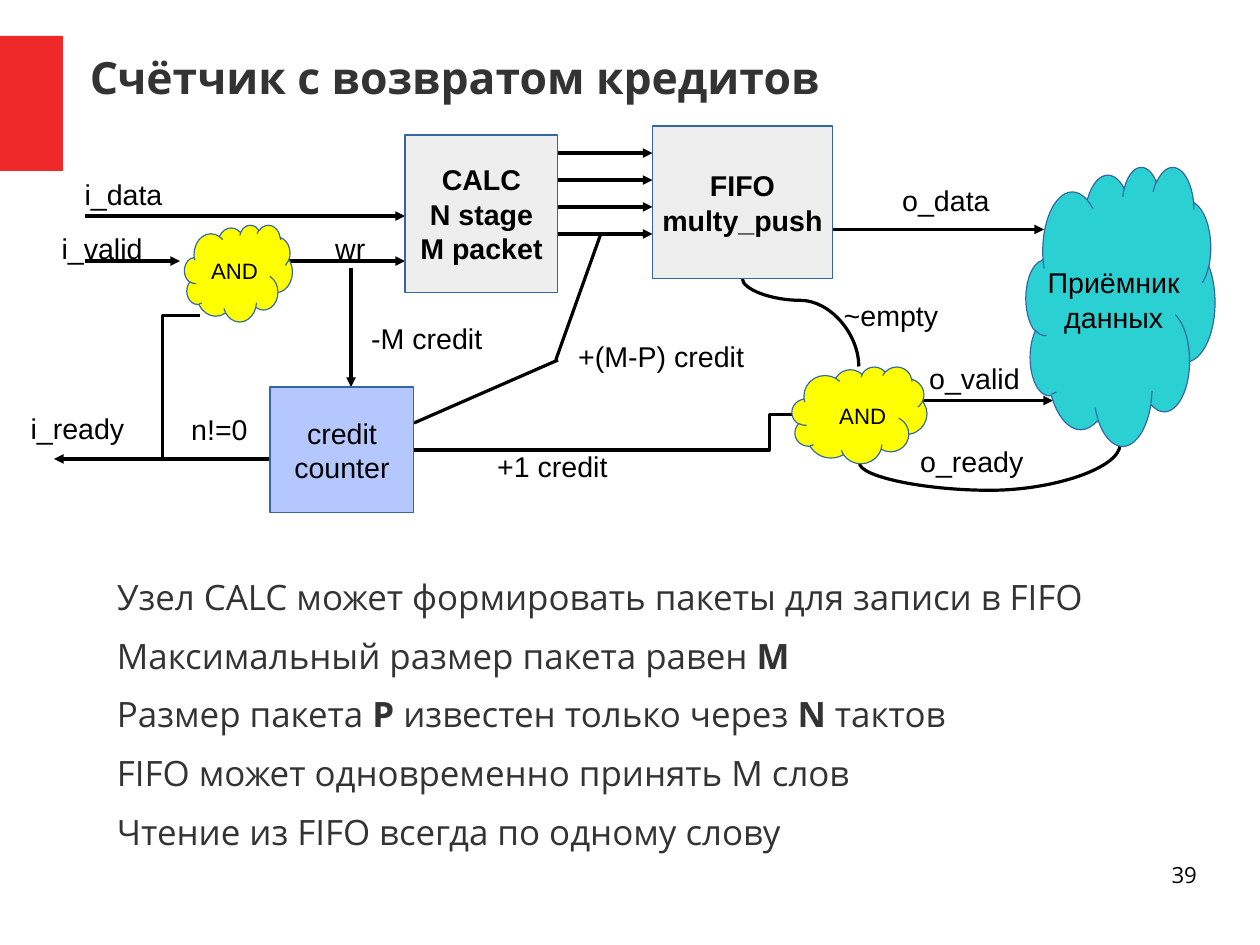
import pptx
import pptx.util
import pptx.dml.color
import pptx.enum.shapes
import pptx.enum.text
import pptx.oxml.ns
from lxml import etree

Cm, Pt = pptx.util.Cm, pptx.util.Pt
RGBColor = pptx.dml.color.RGBColor
SHAPE = pptx.enum.shapes.MSO_SHAPE
CONNECTOR = pptx.enum.shapes.MSO_CONNECTOR
ANCHOR = pptx.enum.text.MSO_ANCHOR
ALIGN = pptx.enum.text.PP_ALIGN
qn = pptx.oxml.ns.qn

RED = RGBColor(0xEF, 0x29, 0x29)
GRAY = RGBColor(0xEE, 0xEE, 0xEE)
TEAL = RGBColor(0x2B, 0xD0, 0xD2)
YELLOW = RGBColor(0xFF, 0xFF, 0x00)
LILAC = RGBColor(0xB4, 0xC8, 0xFF)
OUTLINE = RGBColor(0x34, 0x65, 0xA4)
BLACK = RGBColor(0, 0, 0)
DARK = RGBColor(0x33, 0x33, 0x33)

# Content: all lengths in centimetres
TITLE = "Счётчик с возвратом кредитов"
NOTES = [  # each line is a list of (text, bold)
    [("Узел CALC может формировать пакеты для записи в FIFO", False)],
    [("Максимальный размер пакета равен", False), (" M", True)],
    [("Размер пакета ", False), ("P", True), (" известен только через ", False),
     ("N", True), (" тактов", False)],
    [("FIFO может одновременно принять M слов", False)],
    [("Чтение из FIFO всегда по одному слову", False)],
]
PAGE_NUMBER = "39"

BLOCKS = [  # preset, box, fill, lines, font format
    (SHAPE.RECTANGLE, (9, 3, 3.4, 3.5), GRAY, ["CALC", "N stage", "M packet"],
     {"size": Pt(18), "bold": True}),
    (SHAPE.RECTANGLE, (14.5, 2.8, 4, 3.4), GRAY, ["FIFO", "multy_push"],
     {"size": Pt(18), "bold": True}),
    (SHAPE.RECTANGLE, (6, 8.6, 3.2, 2.8), LILAC, ["credit", "counter"], {"size": Pt(18)}),
    (SHAPE.CLOUD, (22.8, 3.7, 4.2, 6.2), TEAL, ["Приёмник", "данных"], {"size": Pt(18)}),
    (SHAPE.CLOUD, (4.1, 5, 2.4, 2.15), YELLOW, ["AND"], {"size": Pt(14)}),
    (SHAPE.CLOUD, (17.6, 8.15, 3, 2.15), YELLOW, [], {}),
]

ARROWS = [  # begin, end
    ((1.9, 4.8), (9, 4.8)),
    ((1.9, 5.8), (4, 5.8)),
    ((6.3, 5.8), (9, 5.8)),
    ((7.8, 5.95), (7.8, 8.6)),
    ((6, 10.2), (1.2, 10.2)),
    ((18.5, 5.1), (23.2, 5.1)),
    ((19.8, 8.9), (23.4, 8.9)),
]
PACKET_TOP, PACKET_STEP, PACKET_COUNT = 3.4, 0.6, 4
ARROWS += [((12.4, PACKET_TOP + PACKET_STEP * index), (14.5, PACKET_TOP + PACKET_STEP * index))
           for index in range(PACKET_COUNT)]
PLAIN_LINES = [((13.35, 5.2), (12.35, 8)), ((12.4, 8), (9.2, 9.4))]

ROUTES = [  # kind, preset, begin, end before turning, turn in degrees, bend position
    (CONNECTOR.ELBOW, "bentConnector3", (17.6, 9.22), (9.2, 10), 0, 0.06),
    (CONNECTOR.ELBOW, "bentConnector2", (5.62, 9.02), (2.44, 8.18), 90, None),
    (CONNECTOR.CURVE, "curvedConnector3", (21.79, 7.19), (22.2, 12.98), 90, 2.48),
    (CONNECTOR.CURVE, "curvedConnector3", (18.77, 5.87), (16.81, 8.46), 270, 0.25),
]

LABELS = [  # text, left, top, width, size
    ("i_data", 1.63, 3.8, 2.6, 18),
    ("i_valid", 1.12, 5, 2.6, 18),
    ("wr", 7.2, 5, 1.8, 18),
    ("i_ready", 0.43, 9, 2.8, 18),
    ("n!=0", 4, 9.04, 2, 18),
    ("-M credit", 8, 7, 3.4, 18),
    ("+(M-P) credit", 12.6, 7.4, 4.6, 18),
    ("+1 credit", 10.8, 9.85, 3.4, 18),
    ("~empty", 18.5, 6.5, 2.8, 18),
    ("o_data", 19.8, 3.94, 2.8, 18),
    ("o_valid", 20.4, 7.9, 2.8, 18),
    ("o_ready", 20.2, 9.75, 3, 18),
    ("AND", 18.4, 8.81, 1.8, 14),
]


def cm(values):
    return [Cm(value) for value in values]


def apply(target, settings):
    for name, value in settings.items():
        setattr(target, name, value)


def add_text(paragraph, text, name, color, **settings):
    run = paragraph.add_run()
    run.text = text
    apply(run.font, {"name": name, **settings})
    run.font.color.rgb = color


def add_box(slide, box, margins=True, **settings):
    frame = slide.shapes.add_textbox(*cm(box)).text_frame
    frame.word_wrap = True
    if not margins:
        apply(frame, dict.fromkeys(
            ("margin_left", "margin_top", "margin_right", "margin_bottom"), 0))
    apply(frame, settings)
    return frame


def add_block(slide, preset, box, fill, line):
    shape = slide.shapes.add_shape(preset, *cm(box))
    shape.shadow.inherit = False
    shape.fill.solid()
    shape.fill.fore_color.rgb = fill
    if line is None:
        shape.line.fill.background()
    else:
        shape.line.color.rgb = line
        shape.line.width = Pt(0)
    return shape


def add_line(slide, begin, end, kind=CONNECTOR.STRAIGHT, arrow=False):
    line = slide.shapes.add_connector(kind, *cm(begin + end))
    line.line.color.rgb = BLACK
    line.line.width = Pt(0)
    properties = line._element.spPr
    if arrow:
        etree.SubElement(properties.find(qn("a:ln")), qn("a:tailEnd"), type="triangle")
    etree.SubElement(properties, qn("a:effectLst"))
    return line


def add_route(slide, kind, preset, begin, end, turn, bend):
    properties = add_line(slide, begin, end, kind)._element.spPr
    if turn:
        properties.find(qn("a:xfrm")).set("rot", str(turn * 60000))
    geometry = properties.find(qn("a:prstGeom"))
    geometry.set("prst", preset)
    if bend is not None:
        etree.SubElement(geometry.find(qn("a:avLst")), qn("a:gd"),
                         name="adj1", fmla=f"val {round(bend * 100000)}")


def main():
    presentation = pptx.Presentation()
    presentation.slide_width, presentation.slide_height = Cm(28), Cm(21)
    slide = presentation.slides.add_slide(presentation.slide_layouts[6])

    # Red tab and title
    add_block(slide, SHAPE.RECTANGLE, (0, 0.8, 1.4, 3), RED, None)
    frame = add_box(slide, (2, 0.84, 24.6, 1.75), False, vertical_anchor=ANCHOR.MIDDLE)
    add_text(frame.paragraphs[0], TITLE, "Open Sans", DARK, size=Pt(28), bold=True)

    # Notes under the diagram
    frame = add_box(slide, (1.4, 12.8, 25.6, 7.2), False)
    for index, runs in enumerate(NOTES):
        paragraph = frame.add_paragraph() if index else frame.paragraphs[0]
        paragraph._p.get_or_add_pPr().set("marL", str(Cm(1.2)))
        paragraph.space_after = Pt(10.5)
        for text, bold in runs:
            add_text(paragraph, text, "Open Sans", DARK, size=Pt(22), bold=bold)

    # Signals
    for begin, end in ARROWS:
        add_line(slide, begin, end, arrow=True)
    for begin, end in PLAIN_LINES:
        add_line(slide, begin, end)
    for route in ROUTES:
        add_route(slide, *route)

    # Blocks and clouds
    for preset, box, fill, lines, settings in BLOCKS:
        frame = add_block(slide, preset, box, fill, OUTLINE).text_frame
        apply(frame, {"word_wrap": False, "vertical_anchor": ANCHOR.MIDDLE})
        for index, text in enumerate(lines):
            paragraph = frame.add_paragraph() if index else frame.paragraphs[0]
            paragraph.alignment = ALIGN.CENTER
            add_text(paragraph, text, "Arial", BLACK, **settings)

    # Signal names
    for text, left, top, width, size in LABELS:
        frame = add_box(slide, (left, top, width, 0.96))
        add_text(frame.paragraphs[0], text, "Arial", BLACK, size=Pt(size))

    # Page number
    paragraph = add_box(slide, (20.07, 19.13, 6.53, 1.45), False).paragraphs[0]
    paragraph.alignment = ALIGN.RIGHT
    add_text(paragraph, PAGE_NUMBER, "Open Sans", BLACK, size=Pt(14))

    presentation.save("out.pptx")


if __name__ == "__main__":
    main()
